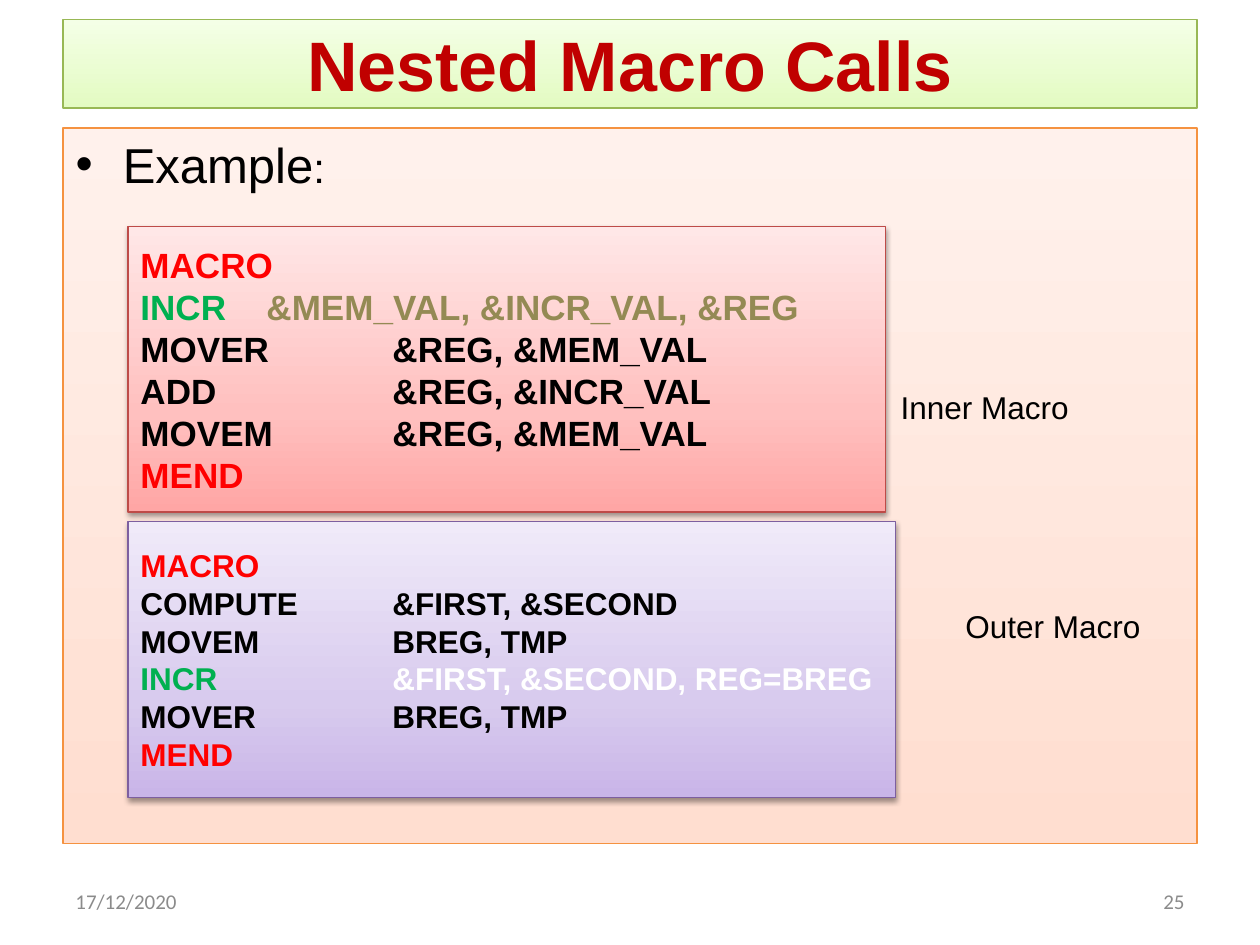
from dataclasses import dataclass

from lxml.etree import SubElement
from pptx import Presentation
from pptx.dml.color import RGBColor
from pptx.enum.shapes import MSO_SHAPE
from pptx.enum.text import MSO_ANCHOR, MSO_AUTO_SIZE, PP_ALIGN
from pptx.oxml.ns import qn
from pptx.util import Pt

RED, GREEN, TAN, BLACK, WHITE, GREY = (
    "FF0000", "00B050", "948A54", "000000", "FFFFFF", "8B8B8B")

Stops = list[tuple[int, str]]
Line = list[tuple[str, str]]  # runs of text and colour


@dataclass
class Box:
    left: float
    top: float
    width: float
    height: float


@dataclass
class Code:
    box: Box
    stops: Stops
    edge: str
    size: float
    tabs: list[int]
    lines: list[Line]


@dataclass
class Label:
    box: Box
    text: str
    size: float
    font: str
    tint: str
    align: PP_ALIGN
    anchor: MSO_ANCHOR


def color(tint: str) -> RGBColor:
    return RGBColor.from_string(tint)


def style(run, size: float, tint: str, font: str = "Arial", bold: bool = False) -> None:
    run.font.size = Pt(size)
    run.font.name = font
    run.font.bold = bold
    run.font.color.rgb = color(tint)


def place(shape, box: Box) -> None:
    shape.left, shape.top = Pt(box.left), Pt(box.top)
    shape.width, shape.height = Pt(box.width), Pt(box.height)


def paint(shape, stops: Stops, edge: str) -> None:
    """Fill from bottom to top and outline the shape."""
    shape.fill.gradient()
    shape.fill.gradient_angle = 90
    items = shape.fill._xPr.find(qn("a:gradFill")).find(qn("a:gsLst"))
    for item in list(items):
        items.remove(item)
    for pos, tint in stops:
        stop = SubElement(items, qn("a:gs"), pos=str(pos * 1000))
        SubElement(stop, qn("a:srgbClr"), val=tint)
    shape.line.color.rgb = color(edge)
    shape.line.width = Pt(0.75)


def shade(shape) -> None:
    """Drop a soft shadow straight down."""
    shape.shadow.inherit = False
    effects = shape._element.spPr.find(qn("a:effectLst"))
    drop = SubElement(effects, qn("a:outerShdw"), blurRad=str(Pt(3.1)),
                      dist=str(Pt(1.6)), dir="5400000", rotWithShape="0")
    tone = SubElement(drop, qn("a:srgbClr"), val=BLACK)
    SubElement(tone, qn("a:alpha"), val="38000")


def set_tabs(para, tabs: list[int]) -> None:
    stops = SubElement(para._p.get_or_add_pPr(), qn("a:tabLst"))
    for tab in tabs:
        SubElement(stops, qn("a:tab"), pos=str(Pt(tab)), algn="l")


def draw_code(slide, code: Code) -> None:
    shape = slide.shapes.add_shape(MSO_SHAPE.RECTANGLE, 0, 0, 0, 0)
    place(shape, code.box)
    paint(shape, code.stops, code.edge)
    shade(shape)
    frame = shape.text_frame
    frame.word_wrap = True
    frame.vertical_anchor = MSO_ANCHOR.MIDDLE
    for num, line in enumerate(code.lines):
        para = frame.add_paragraph() if num else frame.paragraphs[0]
        para.alignment = PP_ALIGN.LEFT
        set_tabs(para, code.tabs)
        for text, tint in line:
            run = para.add_run()
            run.text = text
            style(run, code.size, tint, bold=True)


def draw_label(slide, label: Label) -> None:
    shape = slide.shapes.add_textbox(0, 0, 0, 0)
    place(shape, label.box)
    frame = shape.text_frame
    frame.word_wrap = True
    frame.vertical_anchor = label.anchor
    frame.text = label.text
    para = frame.paragraphs[0]
    para.alignment = label.align
    style(para.runs[0], label.size, label.tint, label.font)


CODES = [
    # Inner macro
    Code(Box(73.2, 129.6, 433, 163),
         [(0, "FFA6A5"), (35, "FFC0BF"), (100, "FFE7E7")], "BE4B48", 20, [72, 144],
         [[("MACRO", RED)],
          [("INCR\t", GREEN), ("&MEM_VAL, &INCR_VAL, &REG", TAN)],
          [("MOVER\t&REG, &MEM_VAL", BLACK)],
          [("ADD\t\t&REG, &INCR_VAL", BLACK)],
          [("MOVEM\t&REG, &MEM_VAL", BLACK)],
          [("MEND", RED)]]),
    # Outer macro
    Code(Box(73.2, 298, 438.5, 157.6),
         [(0, "C9B5E8"), (35, "D8CBEE"), (100, "F0EAF9")], "7D5FA0", 18, [72, 144],
         [[("MACRO", RED)],
          [("COMPUTE\t&FIRST, &SECOND", BLACK)],
          [("MOVEM\t\tBREG, TMP", BLACK)],
          [("INCR\t\t", GREEN), ("&FIRST, &SECOND, REG=BREG", WHITE)],
          [("MOVER\t\tBREG, TMP", BLACK)],
          [("MEND", RED)]]),
]

LABELS = [
    Label(Box(495.4, 218.2, 134.6, 29), "Inner Macro", 18, "Arial", BLACK,
          PP_ALIGN.CENTER, MSO_ANCHOR.TOP),
    Label(Box(534.4, 343.4, 134.6, 29), "Outer Macro", 18, "Arial", BLACK,
          PP_ALIGN.CENTER, MSO_ANCHOR.TOP),
    Label(Box(36, 500.5, 168, 28.75), "17/12/2020", 12, "Calibri", GREY,
          PP_ALIGN.LEFT, MSO_ANCHOR.MIDDLE),
    Label(Box(516, 500.5, 168, 28.75), "25", 12, "Calibri", GREY,
          PP_ALIGN.RIGHT, MSO_ANCHOR.MIDDLE),
]


def main() -> None:
    deck = Presentation()
    deck.slide_width, deck.slide_height = Pt(720), Pt(540)
    slide = deck.slides.add_slide(deck.slide_layouts[1])

    # Title
    title = slide.shapes.title
    place(title, Box(36, 11.25, 648, 50.5))
    paint(title, [(0, "E3FBC2"), (100, "F4FFE6")], "98B855")
    frame = title.text_frame
    frame.text = "Nested Macro Calls"
    frame.auto_size = MSO_AUTO_SIZE.NONE
    frame.vertical_anchor = MSO_ANCHOR.MIDDLE
    frame.paragraphs[0].alignment = PP_ALIGN.CENTER
    style(frame.paragraphs[0].runs[0], 40, "C00000", bold=True)

    # Bulleted body
    body = slide.placeholders[1]
    place(body, Box(36, 73.1, 648, 409))
    paint(body, [(0, "FFDED0"), (100, "FFF1EC")], "F59240")
    frame = body.text_frame
    frame.auto_size = MSO_AUTO_SIZE.NONE
    para = frame.paragraphs[0]
    props = para._p.get_or_add_pPr()
    props.set("marL", str(Pt(27)))
    props.set("indent", str(Pt(-27)))
    SubElement(props, qn("a:buFont"), typeface="Arial")
    SubElement(props, qn("a:buChar"), char="•")
    para.space_before = Pt(0)
    for text, size in [("Example", 28), (":", 24)]:
        run = para.add_run()
        run.text = text
        style(run, size, BLACK)

    # Macro listings, their labels and the footer
    for code in CODES:
        draw_code(slide, code)
    for label in LABELS:
        draw_label(slide, label)

    deck.save("out.pptx")


if __name__ == "__main__":
    main()
